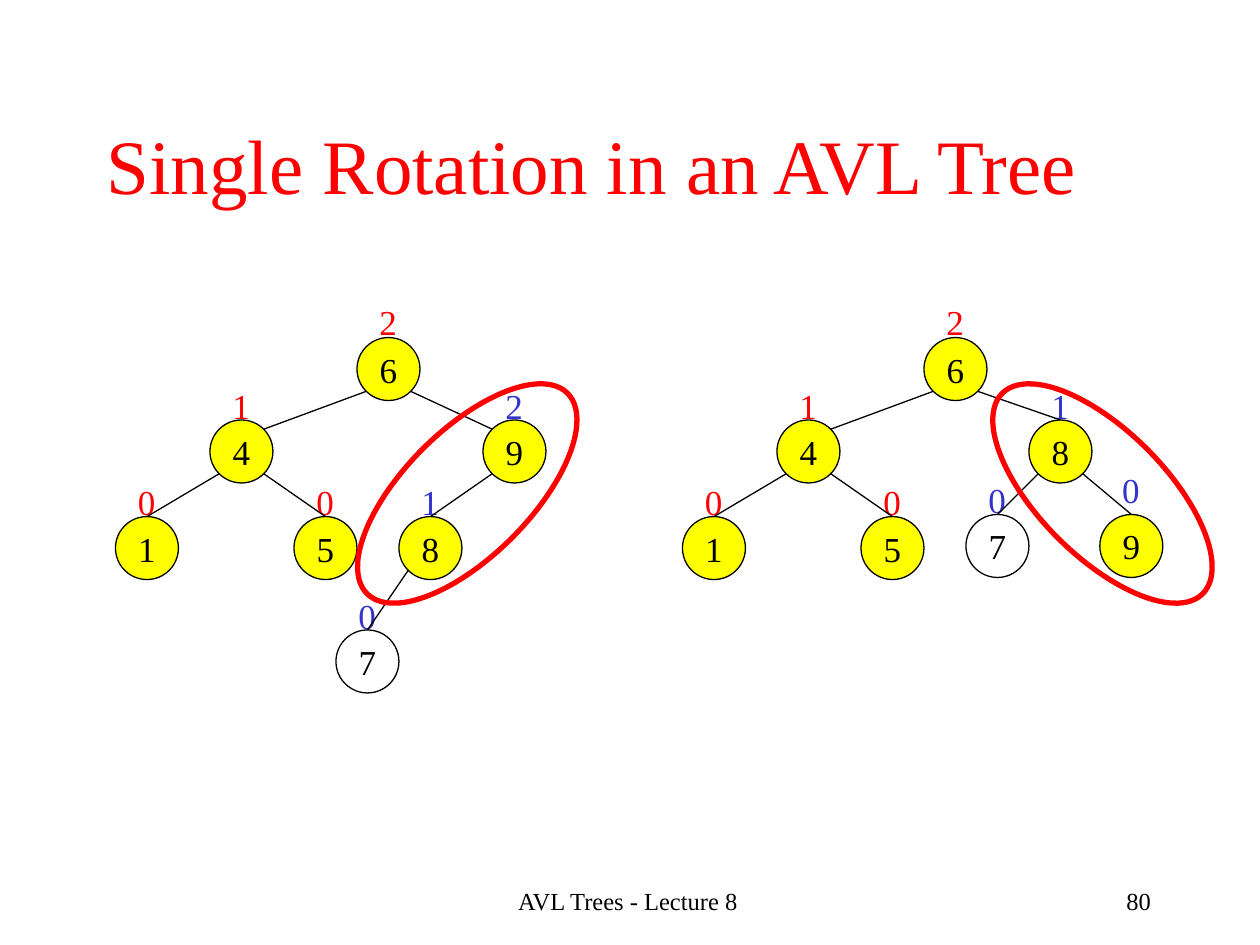
from lxml import etree
from pptx import Presentation
from pptx import util as u
from pptx.dml.color import RGBColor
from pptx.enum import shapes, text
from pptx.oxml.ns import qn

COLORS = {"red": "FF0000", "blue": "3333CC", "yellow": "FFFF00", "black": "000000"}
FONT = "Times New Roman"

deck = Presentation()
deck.slide_width, deck.slide_height = u.Inches(10), u.Inches(7.5)
page = deck.slides.add_slide(deck.slide_layouts[6])

# Grid of 120 columns and 90 rows
COLUMN = deck.slide_width / 120
ROW = deck.slide_height / 90
RADIUS = 3
CORNER = RADIUS * 0.707


def grid(column, row):
    return round(column * COLUMN), round(row * ROW)


def write(box, words, size, color, align=text.PP_ALIGN.LEFT,
          anchor=text.MSO_ANCHOR.TOP, wrap=True):
    frame = box.text_frame
    frame.word_wrap = wrap
    frame.vertical_anchor = anchor
    para = frame.paragraphs[0]
    para.text = words
    para.alignment = align
    para.font.size = u.Pt(size)
    para.font.name = FONT
    para.font.color.rgb = RGBColor.from_string(COLORS[color])


# Title and footer: words, column, row, width, height, size, colour, align, anchor
left, center, right = text.PP_ALIGN.LEFT, text.PP_ALIGN.CENTER, text.PP_ALIGN.RIGHT
top, middle = text.MSO_ANCHOR.TOP, text.MSO_ANCHOR.MIDDLE
for words, column, row, width, height, size, color, align, anchor in [
    ("Single Rotation in an AVL Tree", 9, 6.1, 102, 18.9, 44, "red", left, middle),
    ("AVL Trees - Lecture 8", 40.8, 83.75, 38, 6, 14, "black", center, top),
    ("80", 85.8, 83.75, 25, 6, 14, "black", right, top),
]:
    box = page.shapes.add_textbox(*grid(column, row), *grid(width, height))
    write(box, words, size, color, align, anchor)

# Nodes: key -> centre column, centre row, height, label row, label colour
shared_nodes = {
    "6": (37, 35.15, "2", 28, "red"),
    "4": (23, 43, "1", 36, "red"),
    "1": (14, 52.2, "0", 45.2, "red"),
    "5": (31, 52.2, "0", 45.2, "red"),
}
before_nodes = shared_nodes | {
    "9": (49, 43, "2", 36, "blue"),
    "8": (41, 52.2, "1", 45.2, "blue"),
    "7": (35, 63, "0", 56, "blue"),
}
after_nodes = shared_nodes | {
    "8": (47, 43, "1", 36, "blue"),
    "9": (53.75, 52, "0", 44, "blue"),
    "7": (41, 52, "0", 45, "blue"),
}

# Edges: parent, child, whether the line meets the top of the child
shared_edges = [("6", "4", False), ("4", "1", True), ("4", "5", True)]
before_edges = shared_edges + [("6", "9", False), ("9", "8", True), ("8", "7", True)]
after_edges = shared_edges + [("6", "8", True), ("8", "9", True), ("8", "7", True)]

# Trees: column offset, nodes, edges, column of the ring's centre, its rotation
for offset, nodes, edges, ring_column, rotation in [
    (0, before_nodes, before_edges, 44.5, 315),
    (54, after_nodes, after_edges, 105, 45),
]:
    # Height labels
    for column, row, height, label_row, color in nodes.values():
        label = page.shapes.add_textbox(
            *grid(offset + column - 2.05, label_row), *grid(4.1, 5.25))
        write(label, height, 20, color, wrap=False)

    # Node circles
    circles = {}
    for key, (column, row, *_) in nodes.items():
        circle = page.shapes.add_shape(
            shapes.MSO_SHAPE.OVAL, *grid(offset + column - RADIUS, row - RADIUS),
            *grid(2 * RADIUS, 2 * RADIUS))
        circle.shadow.inherit = False
        if key == "7":
            circle.fill.background()
        else:
            circle.fill.solid()
            circle.fill.fore_color.rgb = RGBColor.from_string(COLORS["yellow"])
        circle.line.color.rgb = RGBColor.from_string(COLORS["black"])
        circle.line.width = u.Pt(0.75)
        write(circle, key, 20, "black", center, middle, wrap=False)
        circles[key] = circle

    # Edges leave the parent diagonally, towards the child
    for parent, child, meets_top in edges:
        (start, start_row), (end, end_row) = nodes[parent][:2], nodes[child][:2]
        shift = CORNER if end > start else -CORNER
        edge = page.shapes.add_connector(
            shapes.MSO_CONNECTOR.STRAIGHT,
            *grid(offset + start + shift, start_row + CORNER),
            *grid(offset + end - shift, end_row - CORNER))
        if meets_top:
            edge.end_connect(circles[child], 0)
        edge.line.color.rgb = RGBColor.from_string(COLORS["black"])
        edge.line.width = u.Pt(0.75)
        etree.SubElement(edge._element.spPr, qn("a:effectLst"))

    # Ring around the rotated nodes
    ring = page.shapes.add_shape(
        shapes.MSO_SHAPE.OVAL, *grid(ring_column - 13.5, 41), *grid(27, 12))
    ring.rotation = rotation
    ring.shadow.inherit = False
    ring.fill.background()
    ring.line.color.rgb = RGBColor.from_string(COLORS["red"])
    ring.line.width = u.Pt(3)

deck.save("out.pptx")
